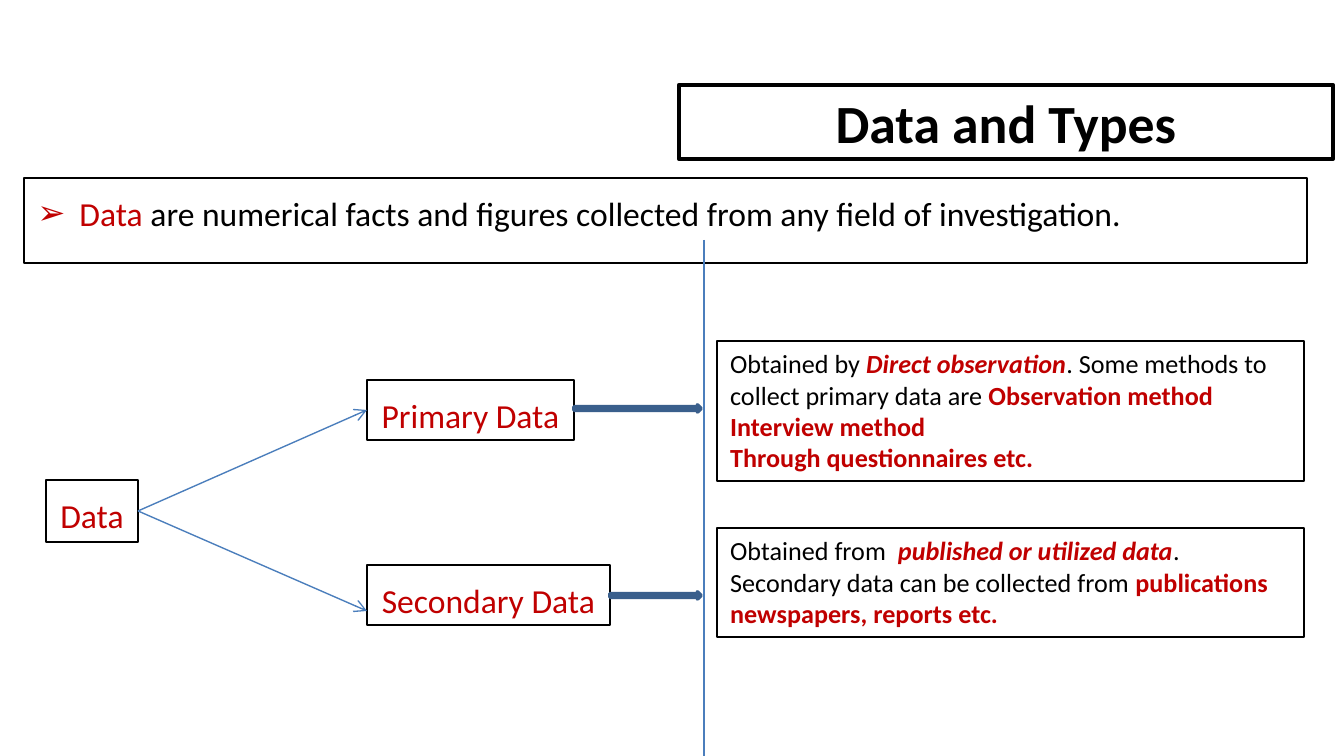
from pptx import Presentation
from pptx.dml.color import RGBColor as Rgb
from pptx.enum.shapes import MSO_CONNECTOR as Conn, MSO_SHAPE as Kind
from pptx.enum.text import MSO_ANCHOR as Anchor, MSO_AUTO_SIZE as Fit, PP_ALIGN as Align
from pptx.oxml.ns import qn
from pptx.util import Emu, Pt
from lxml.etree import SubElement as Sub

FONT = "Calibri"
SCALE = 914400 / 134.4
HEX = {"ink": "000000", "red": "C00000", "line": "4B7EBC",
       "fill": "4F81BD", "edge": "3A5F8C"}


def px(n):
    return Emu(round(n * SCALE))


def color(name):
    return Rgb.from_string(HEX[name])


class Deck:
    def __init__(self, wide, high):
        self.prs = Presentation()
        self.prs.slide_width, self.prs.slide_height = px(wide), px(high)
        self.slide = self.prs.slides.add_slide(self.prs.slide_layouts[1])
        self.shapes = self.slide.shapes

    def place(self, shape, box):
        shape.left, shape.top, shape.width, shape.height = map(px, box)

    def edge(self, shape, name="ink", width=0.75):
        shape.line.color.rgb = color(name)
        shape.line.width = Pt(width)

    def style(self, run, size, name="ink", bold=False, italic=False):
        font = run.font
        font.name, font.size = FONT, Pt(size)
        font.bold, font.italic = bold, italic
        font.color.rgb = color(name)

    def fill(self, para, parts, size):
        for text, *look in parts:
            run = para.add_run()
            run.text = text
            self.style(run, size, *look)

    def loose(self, para):
        para.line_spacing, para.space_before = 1.2, Pt(10)

    def title(self, text, box):
        shape = self.shapes.title
        self.place(shape, box)
        self.edge(shape, width=2.25)
        frame = shape.text_frame
        frame.text = text
        frame.auto_size, frame.vertical_anchor = Fit.NONE, Anchor.MIDDLE
        para = frame.paragraphs[0]
        para.alignment = Align.CENTER
        self.style(para.runs[0], 28.8, "ink", True)

    def body(self, parts, box):
        shape = self.slide.placeholders[1]
        self.place(shape, box)
        self.edge(shape)
        frame = shape.text_frame
        frame.auto_size = Fit.SHAPE_TO_FIT_TEXT
        para = frame.paragraphs[0]
        self.fill(para, parts, 18)
        self.loose(para)
        props = para._p.get_or_add_pPr()
        props.set("marL", str(px(42)))
        props.set("indent", str(-px(42)))
        Sub(props, qn("a:buFont"), typeface="Arial")
        Sub(props, qn("a:buChar"), char="➢")

    def text(self, box, wrap):
        shape = self.shapes.add_textbox(*map(px, box))
        self.edge(shape)
        shape.text_frame.word_wrap = wrap
        shape.text_frame.auto_size = Fit.SHAPE_TO_FIT_TEXT
        return shape

    def label(self, text, box):
        shape = self.text(box, False)
        shape.text_frame.text = text
        para = shape.text_frame.paragraphs[0]
        para.alignment = Align.CENTER
        self.loose(para)
        self.style(para.runs[0], 18, "red")
        return shape

    def note(self, rows, box):
        frame = self.text(box, True).text_frame
        for i, parts in enumerate(rows):
            para = frame.add_paragraph() if i else frame.paragraphs[0]
            self.fill(para, parts, 14)

    def link(self, start, end, head=False):
        line = self.shapes.add_connector(Conn.STRAIGHT, *map(px, start + end))
        self.edge(line, "line")
        if head:
            Sub(line.line._get_or_add_ln(), qn("a:tailEnd"), type="arrow")
        Sub(line._element.spPr, qn("a:effectLst"))
        return line

    def arrow(self, box):
        shape = self.shapes.add_shape(Kind.RIGHT_ARROW, *map(px, box))
        shape.shadow.inherit = False
        shape.fill.solid()
        shape.fill.fore_color.rgb = color("fill")
        self.edge(shape, "edge", 2)


def main():
    deck = Deck(1344, 756)

    # Heading and definition
    deck.title("Data and Types", (679, 85, 654, 74))
    deck.body([("Data ", "red"),
               ("are numerical facts and figures collected from any field of investigation.",)],
              (24, 178, 1283, 62))

    # Tree of data types
    root = deck.label("Data", (46, 480, 92, 62))
    first = deck.label("Primary Data", (367, 380, 207, 60))
    deck.label("Secondary Data", (367, 565, 243, 60))
    up = deck.link((138, 511), (367, 410), True)
    down = deck.link((138, 511), (367, 611), True)
    for line in (up, down):
        line.begin_connect(root, 3)
    up.end_connect(first, 1)

    # Block arrows up to the divider
    for left, top in ((574, 405), (610, 592)):
        deck.arrow((left, top, 701 - left, 7))
    deck.link((704, 240), (704, 756))

    # Explanations
    strong, slant = ("red", True), ("red", True, True)
    deck.note([
        [("Obtained by ",), ("Direct observation", *slant),
         (". Some methods to collect primary data are ",),
         ("Observation method", *strong)],
        [("Interview method", *strong)],
        [("Through questionnaires etc.", *strong)],
    ], (717, 341, 587, 140))
    deck.note([
        [("Obtained from  ",), ("published or utilized data", *slant),
         (". Secondary data can be collected from ",),
         ("publications newspapers, reports etc.", *strong)],
    ], (717, 528, 587, 109))

    deck.prs.save("out.pptx")


if __name__ == "__main__":
    main()
